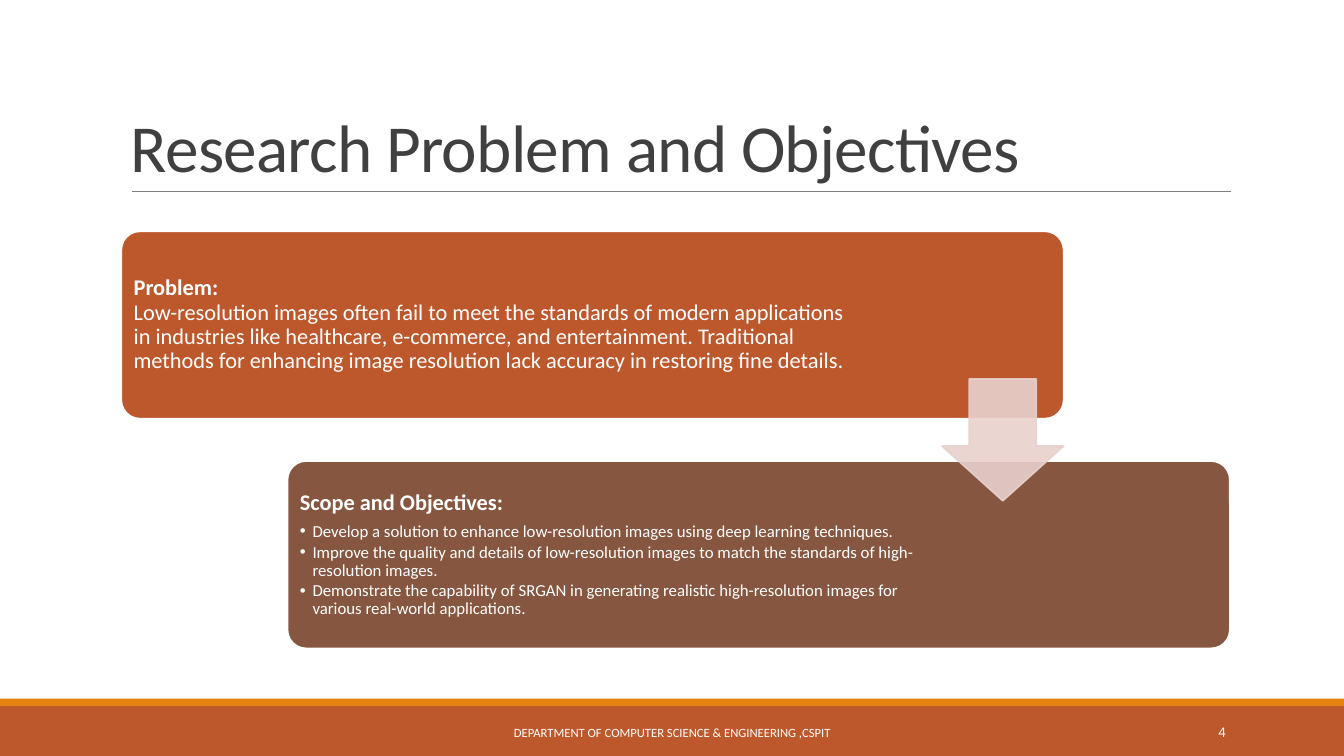
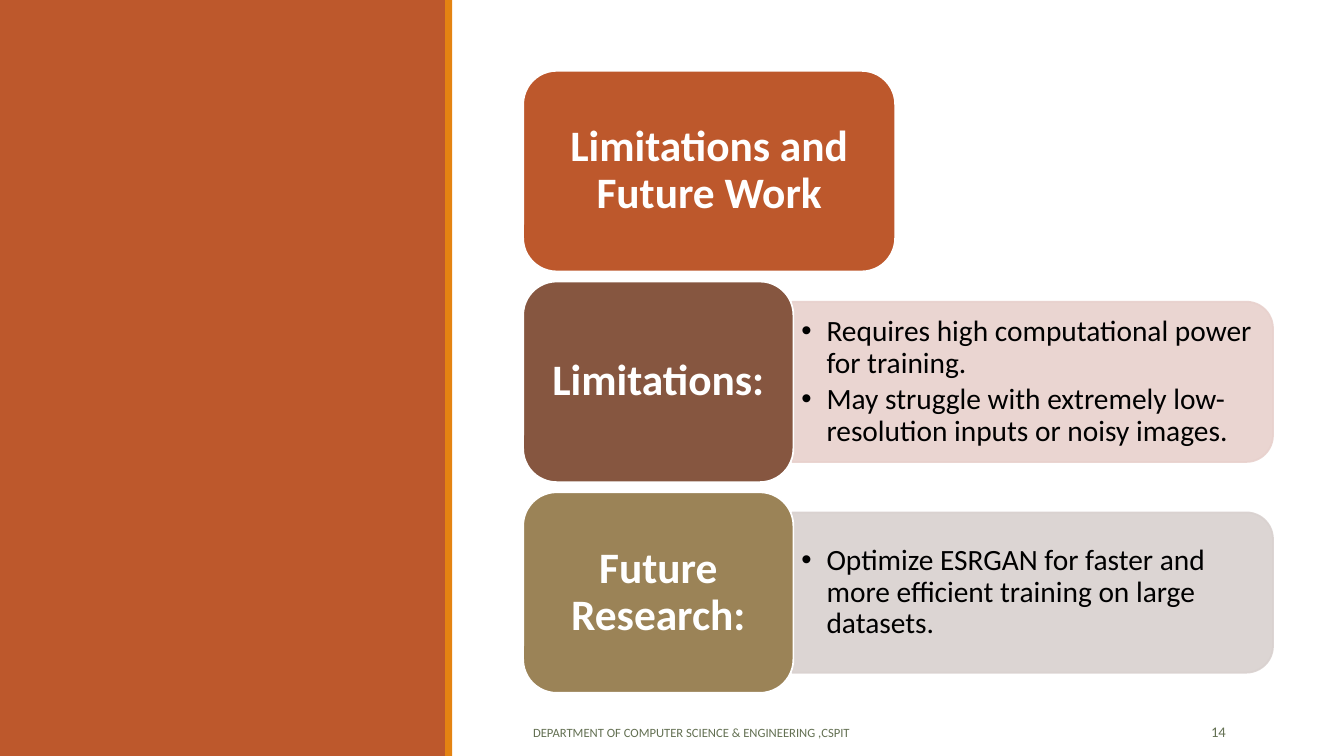
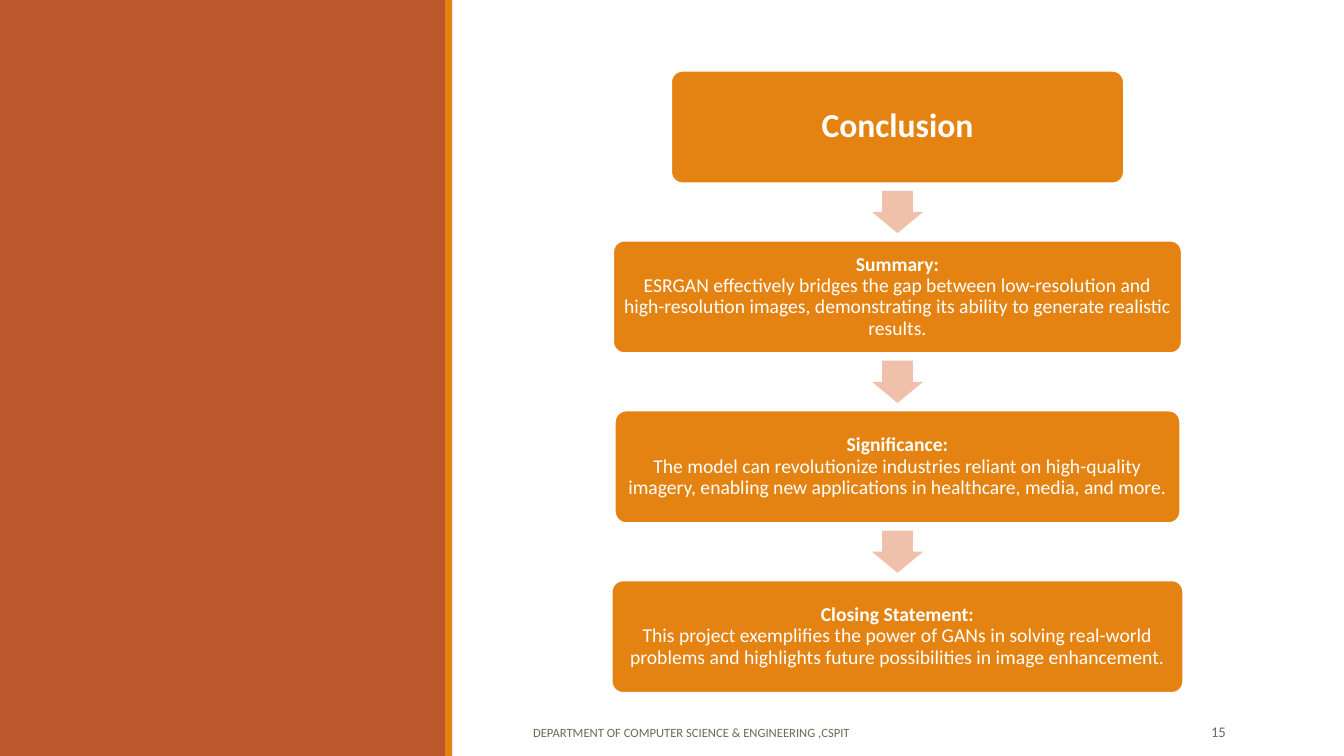
from copy import deepcopy
from dataclasses import dataclass

from lxml.etree import SubElement
from pptx import Presentation
from pptx.dml.color import RGBColor
from pptx.enum.shapes import MSO_CONNECTOR as Connector, MSO_SHAPE as Shape
from pptx.enum.text import MSO_ANCHOR as Anchor, PP_ALIGN as Align
from pptx.oxml.ns import qn
from pptx.util import Pt


@dataclass(frozen=True)
class Theme:
    font: str = "Calibri"
    # Colours
    white: str = "FFFFFF"
    black: str = "000000"
    title: str = "404040"
    rule: str = "808080"
    muted: str = "637052"
    rust: str = "BD582C"
    orange: str = "E48312"
    brown: str = "865640"
    olive: str = "9B8357"
    pale_rose: str = "E8D1CD"
    pale_taupe: str = "D9D1CF"
    pale_orange: str = "EFC1AB"
    # Type sizes
    title_size: float = 48
    footer_size: float = 9
    number_size: float = 10.5
    card_size: float = 16
    card_bullet_size: float = 12
    label_size: float = 31
    detail_size: float = 21
    step_title_size: float = 24
    step_size: float = 14
    # Spacing
    outline: float = 1.25
    tight: float = 0.9
    text_gap: float = 0.35
    bullet_gap: float = 0.15


@dataclass(frozen=True)
class Box:
    left: float
    top: float
    width: float
    height: float

    @property
    def middle(self):
        return self.left + self.width / 2, self.top + self.height / 2

    def lengths(self):
        return [Pt(v) for v in (self.left, self.top, self.width, self.height)]


THEME = Theme()
PAGE = Box(0, 0, 960, 540)
FOOTER = "DEPARTMENT OF COMPUTER SCIENCE & ENGINEERING ,CSPIT"


def centred(x, y, width, height):
    return Box(x - width / 2, y - height / 2, width, height)


# Basic parts

def add_block(page, kind, box, fill, line=None, adjust=(), opacity=None):
    block = page.shapes.add_shape(kind, *box.lengths())
    block.shadow.inherit = False
    block.fill.solid()
    block.fill.fore_color.rgb = RGBColor.from_string(fill)
    if line:
        block.line.color.rgb = RGBColor.from_string(line)
        block.line.width = Pt(THEME.outline)
    else:
        block.line.fill.background()
    for index, value in enumerate(adjust):
        block.adjustments[index] = value
    if opacity:
        for color in block._element.spPr.iter(qn("a:srgbClr")):
            SubElement(color, qn("a:alpha"), val=str(opacity * 1000))
    return block


def set_frame(shape, anchor=Anchor.MIDDLE, insets=(7.2, 3.6, 7.2, 3.6)):
    frame = shape.text_frame
    frame.word_wrap = True
    frame.vertical_anchor = anchor
    (frame.margin_left, frame.margin_top,
     frame.margin_right, frame.margin_bottom) = map(Pt, insets)
    return frame


def add_text_box(page, box, **layout):
    return set_frame(page.shapes.add_textbox(*box.lengths()), **layout)


def write(frame, text, *, size, color, bold=False, lead=None, align=Align.LEFT,
          leading=1.0, after=6, indent=None, tracking=None):
    """Add a paragraph; lead is a bold first line, indent makes a bullet."""
    first = frame.paragraphs[0]
    para = frame.add_paragraph() if first.runs else first
    para.alignment = align
    para.line_spacing = leading
    para.space_after = Pt(after)

    def add_span(words, strong):
        span = para.add_run()
        span.text = words
        span.font.name = THEME.font
        span.font.size = Pt(size)
        span.font.bold = strong
        span.font.color.rgb = RGBColor.from_string(color)
        if tracking:
            span._r.get_or_add_rPr().set("spc", str(int(tracking * 100)))
        return span

    if lead:
        lead_span = add_span(lead, True)
        para.add_line_break()
        # The break takes the lead's size, so the first line keeps its height
        para._p.find(qn("a:br")).insert(0, deepcopy(lead_span._r.rPr))
    add_span(text, bold)

    if indent:
        props = para._p.get_or_add_pPr()
        props.set("marL", str(Pt(indent)))
        props.set("indent", str(-Pt(indent)))
        SubElement(props, qn("a:buFont"), typeface="Arial")
        SubElement(props, qn("a:buChar"), char="•")


def write_body(frame, text, *, size, color=THEME.white, **layout):
    write(frame, text, size=size, color=color, leading=THEME.tight,
          after=size * THEME.text_gap, **layout)


def write_bullets(frame, items, *, size, color, indent):
    for item in items:
        write(frame, item, size=size, color=color, indent=indent,
              leading=THEME.tight, after=size * THEME.bullet_gap)


# Page furniture

def add_footer(page, text_box, number_box, number, color, align):
    write(add_text_box(page, text_box), FOOTER,
          size=THEME.footer_size, color=color, align=align)
    write(add_text_box(page, number_box), str(number),
          size=THEME.number_size, color=color, align=Align.RIGHT)


def add_title_page(deck, title, number):
    page = deck.slides.add_slide(deck.slide_layouts[6])
    # Bottom bands
    add_block(page, Shape.RECTANGLE, Box(0, 504, PAGE.width, 36), THEME.rust)
    add_block(page, Shape.RECTANGLE, Box(0, 499, PAGE.width, 5.5), THEME.orange)
    # Title and its rule
    rule = page.shapes.add_connector(
        Connector.STRAIGHT, Pt(94.3), Pt(136.8), Pt(879), Pt(136.8))
    rule.line.color.rgb = RGBColor.from_string(THEME.rule)
    rule.line.width = Pt(0.5)
    SubElement(rule._element.spPr, qn("a:effectLst"))
    frame = add_text_box(page, Box(86.4, 22.5, 792, 114.3), anchor=Anchor.BOTTOM)
    write(frame, title, size=THEME.title_size, color=THEME.title,
          leading=0.85, tracking=-0.5)
    add_footer(page, Box(290.4, 508.5, 379.4, 28.8), Box(780, 508.5, 102.7, 28.8),
               number, THEME.white, Align.CENTER)
    return page


def add_side_page(deck, number):
    page = deck.slides.add_slide(deck.slide_layouts[6])
    # Side bands
    add_block(page, Shape.RECTANGLE, Box(0, 0, 319, PAGE.height), THEME.rust)
    add_block(page, Shape.RECTANGLE, Box(318, 0, 5, PAGE.height), THEME.orange)
    add_footer(page, Box(373.7, 508.5, 401.8, 28.8), Box(797, 508.5, 85.7, 28.8),
               number, THEME.muted, Align.LEFT)
    return page


# Regions

def add_card(page, box, fill, text_width):
    card = add_block(page, Shape.ROUNDED_RECTANGLE, box, fill, THEME.white, [0.1])
    corner = 4
    right = box.width - text_width - corner
    return set_frame(card, insets=(5, 5, right, 5))


def add_staircase(page, box):
    """Two overlapping steps, the second set to the right and below."""
    width, height = 673.2, 133.9
    upper = Box(box.left, box.top, width, height)
    lower = Box(box.left + box.width - width, box.top + box.height - height,
                width, height)
    frame = add_card(page, upper, THEME.rust, 529)
    write_body(
        frame,
        "Low-resolution images often fail to meet the standards of modern "
        "applications in industries like healthcare, e-commerce, and "
        "entertainment. Traditional methods for enhancing image resolution lack "
        "accuracy in restoring fine details.",
        size=THEME.card_size, lead="Problem:")

    frame = add_card(page, lower, THEME.brown, 454)
    write_body(frame, "Scope and Objectives:", size=THEME.card_size, bold=True)
    write_bullets(frame, [
        "Develop a solution to enhance low-resolution images using deep "
        "learning techniques.",
        "Improve the quality and details of low-resolution images to match the "
        "standards of high-resolution images.",
        "Demonstrate the capability of SRGAN in generating realistic "
        "high-resolution images for various real-world applications.",
    ], size=THEME.card_bullet_size, color=THEME.white, indent=9)

    # Arrow across the gap, flush with the upper card's right edge
    side = 87
    _, y = box.middle
    add_block(page, Shape.DOWN_ARROW,
              Box(upper.left + width - side, y - side / 2, side, side),
              THEME.pale_rose, THEME.pale_rose, [0.55, 0.45], opacity=90)


def add_label(page, box, text, fill):
    label = add_block(page, Shape.ROUNDED_RECTANGLE, box, fill, THEME.white)
    write_body(set_frame(label, insets=(9, 4.5, 9, 4.5)), text,
               size=THEME.label_size, bold=True, align=Align.CENTER)


def add_detail(page, box, items, fill):
    # A quarter turn puts the two rounded corners on the right
    upright = centred(*box.middle, box.height, box.width)
    panel = add_block(page, Shape.ROUND_2_SAME_RECTANGLE, upright, fill, fill,
                      opacity=90)
    panel.rotation = 90
    frame = add_text_box(page, Box(box.left, box.top + 5.5, box.width - 5.7,
                                   box.height - 11), insets=(6.5, 3, 6.5, 3))
    write_bullets(frame, items, size=THEME.detail_size, color=THEME.black,
                  indent=18)


def add_label_rows(page, box):
    rows = [
        ("Limitations and Future Work", THEME.rust, None, []),
        ("Limitations:", THEME.brown, THEME.pale_rose, [
            "Requires high computational power for training.",
            "May struggle with extremely low-resolution inputs or noisy images.",
        ]),
        ("Future Research:", THEME.olive, THEME.pale_taupe, [
            "Optimize ESRGAN for faster and more efficient training on large "
            "datasets.",
        ]),
    ]
    height, detail_height = 143.3, 114.5
    pitch = (box.height - height) / (len(rows) - 1)
    for index, (text, fill, pale, items) in enumerate(rows):
        top = box.top + index * pitch
        width = 193 if items else 265.7
        if items:
            detail = Box(box.left + width - 0.8, top + (height - detail_height) / 2,
                         box.width - width + 0.8, detail_height)
            add_detail(page, detail, items, pale)
        add_label(page, Box(box.left, top, width, height), text, fill)


def add_step_flow(page, box):
    steps = [
        (323.4, None, "Conclusion"),
        (406.1, "Summary:",
         "ESRGAN effectively bridges the gap between low-resolution and "
         "high-resolution images, demonstrating its ability to generate "
         "realistic results."),
        (403.8, "Significance:",
         "The model can revolutionize industries reliant on high-quality "
         "imagery, enabling new applications in healthcare, media, and more."),
        (408.2, "Closing Statement:",
         "This project exemplifies the power of GANs in solving real-world "
         "problems and highlights future possibilities in image enhancement."),
    ]
    height = 80.3
    pitch = (box.height - height) / (len(steps) - 1)
    x, _ = box.middle
    for index, (width, lead, text) in enumerate(steps):
        y = box.top + height / 2 + index * pitch
        if index:
            add_block(page, Shape.DOWN_ARROW, centred(x, y - pitch / 2, 36.4, 30.2),
                      THEME.pale_orange, adjust=[0.6, 0.5])
        step = add_block(page, Shape.ROUNDED_RECTANGLE,
                         centred(x, y, width, height),
                         THEME.orange, THEME.white, [0.1])
        inset = 4.2 if lead else 7.2
        write_body(set_frame(step, insets=[inset] * 4), text, lead=lead,
                   size=THEME.step_size if lead else THEME.step_title_size,
                   bold=not lead, align=Align.CENTER)


def main():
    deck = Presentation()
    deck.slide_width, deck.slide_height = Pt(PAGE.width), Pt(PAGE.height)
    add_staircase(add_title_page(deck, "Research Problem and Objectives", 4),
                  Box(86.6, 165.2, 791.9, 298))
    add_label_rows(add_side_page(deck, 14), Box(373.7, 50.6, 535.6, 444.3))
    add_step_flow(add_side_page(deck, 15), Box(373.7, 50.6, 534.8, 444.3))
    deck.save("out.pptx")


if __name__ == "__main__":
    main()
